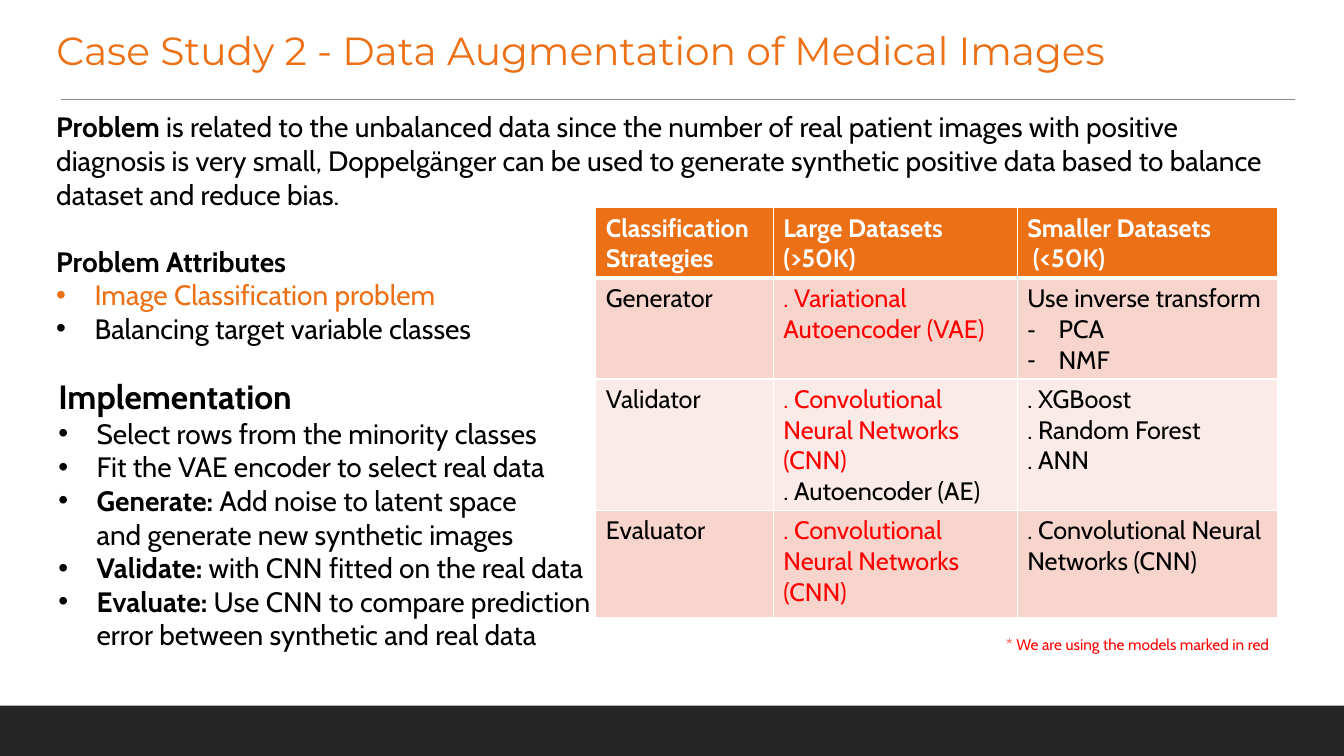
"""Build the case study slide on data augmentation of medical images."""
from lxml.etree import SubElement
from pptx import Presentation
from pptx.dml.color import RGBColor
from pptx.enum.shapes import MSO_CONNECTOR as Connector, MSO_SHAPE as Shape
from pptx.enum.text import MSO_ANCHOR as Anchor, PP_ALIGN as Align
from pptx.oxml import parse_xml
from pptx.oxml.ns import nsdecls, qn
from pptx.util import Inches, Pt

COLORS = {
    "orange": "EC7016", "black": "000000", "white": "FFFFFF", "red": "FF0000",
    "footer": "262626", "rule": "8C8C8C", "band_dark": "F8D5CC", "band_light": "FBEBE8",
}


def line(*spans, bullet=None, indent=0.38, before=0):
    """Describe a paragraph made of (text, colour, bold) spans."""
    return {"spans": spans, "bullet": bullet, "indent": indent, "before": before}


def plain(text, color="black", **options):
    """Describe a paragraph with a single regular span."""
    return line((text, color, False), **options)


def heading(text, color="black", **options):
    """Describe a paragraph with a single bold span."""
    return line((text, color, True), **options)


def item(text, color="black"):
    """Describe a bulleted paragraph."""
    return plain(text, color, bullet="•")


def step(label, text):
    """Describe a bulleted paragraph with a bold label."""
    return line((label, "black", True), (text, "black", False), bullet="•")


class SlideBuilder:
    """Hold the slide and its style, and draw each kind of element."""

    def __init__(self, slide, font="Cabin"):
        """Keep the current slide and the body font."""
        self.shapes = slide.shapes
        self.font = font

    def color(self, name):
        """Return the named colour."""
        return RGBColor.from_string(COLORS[name])

    def set_lines(self, frame, lines, size, font=None, first_size=None):
        """Fill a text frame with described paragraphs."""
        frame.word_wrap = True
        for index, entry in enumerate(lines):
            para = frame.add_paragraph() if index else frame.paragraphs[0]
            para.space_before = Pt(entry["before"])
            for text, color, bold in entry["spans"]:
                for part_index, part in enumerate(text.split("\n")):
                    if part_index:
                        para.add_line_break()
                    span = para.add_run()
                    span.text = part
                    span.font.name = font or self.font
                    span.font.size = Pt(first_size if first_size and not index else size)
                    span.font.bold = bold
                    span.font.color.rgb = self.color(color)
            if entry["bullet"]:
                props = para._p.get_or_add_pPr()
                indent = Inches(entry["indent"])
                props.set("marL", str(indent))
                props.set("indent", str(-indent))
                SubElement(props, qn("a:buFont"), typeface="Arial")
                SubElement(props, qn("a:buChar"), char=entry["bullet"])

    def text(self, place, lines, size, **options):
        """Add a text box."""
        box = self.shapes.add_textbox(*map(Inches, place))
        self.set_lines(box.text_frame, lines, size, **options)

    def rectangle(self, place, fill):
        """Add a filled rectangle without outline."""
        box = self.shapes.add_shape(Shape.RECTANGLE, *map(Inches, place))
        box.shadow.inherit = False
        box.fill.solid()
        box.fill.fore_color.rgb = self.color(fill)
        box.line.fill.background()
        return box

    def note(self, place, text, size):
        """Add a white box with a centred red remark."""
        box = self.rectangle(place, "white")
        box.line.color.rgb = self.color("white")
        box.line.width = Pt(1.25)
        self.set_lines(box.text_frame, [plain(text, "red")], size)
        box.text_frame.vertical_anchor = Anchor.MIDDLE
        box.text_frame.paragraphs[0].alignment = Align.CENTER

    def rule(self, left, right, top):
        """Add a horizontal line."""
        rule = self.shapes.add_connector(
            Connector.STRAIGHT, Inches(left), Inches(top), Inches(right), Inches(top))
        rule.line.color.rgb = self.color("rule")
        rule.line.width = Pt(0.75)
        SubElement(rule._element.spPr, qn("a:effectLst"))

    def borders(self, cell, bottom):
        """Give a cell white borders."""
        props = cell._tc.get_or_add_tcPr()
        widths = {"lnL": 1, "lnR": 1, "lnT": 1, "lnB": bottom}
        for index, (side, width) in enumerate(widths.items()):
            props.insert(index, parse_xml(
                f'<a:{side} {nsdecls("a")} w="{Pt(width)}"><a:solidFill>'
                f'<a:srgbClr val="{COLORS["white"]}"/></a:solidFill></a:{side}>'))

    def table(self, left, top, widths, heights, rows, size):
        """Add a banded table with a strong header."""
        table = self.shapes.add_table(
            len(heights), len(widths), Inches(left), Inches(top),
            Inches(sum(widths)), Inches(sum(heights))).table
        for column, width in zip(table.columns, widths):
            column.width = Inches(width)
        for index, (row, height, contents) in enumerate(zip(table.rows, heights, rows)):
            row.height = Inches(height)
            fill = "band_dark" if index % 2 else "band_light"
            for cell, lines in zip(row.cells, contents):
                cell.fill.solid()
                cell.fill.fore_color.rgb = self.color(fill if index else "orange")
                self.borders(cell, 1 if index else 3)
                self.set_lines(cell.text_frame, lines, size)


PROBLEM = [
    line(("Problem ", "black", True),
         ("is related to the unbalanced data since the number of real patient images with "
          "positive diagnosis is very small, Doppelgänger can be used to generate synthetic "
          "positive data based to balance dataset and reduce bias.", "black", False)),
    heading("Problem Attributes", before=24),
    item("Image Classification problem", "orange"),
    item("Balancing target variable classes"),
]
IMPLEMENTATION = [
    heading("Implementation"),
    item("Select rows from the minority classes"),
    item("Fit the VAE encoder to select real data"),
    step("Generate:", " Add noise to latent space \nand generate new synthetic images"),
    step("Validate: ", "with CNN fitted on the real data"),
    step("Evaluate: ", "Use CNN to compare prediction \nerror between synthetic and real data"),
]
CNN = ". Convolutional Neural Networks (CNN)"
STRATEGIES = [
    [[heading(text, "white") for text in texts] for texts in (
        ["Classification", "Strategies"],
        ["Large Datasets (>50K)"],
        ["Smaller Datasets", " (<50K)"])],
    [[plain("Generator")],
     [plain(". Variational Autoencoder (VAE)", "red")],
     [plain("Use inverse transform"),
      *(plain(method, bullet="-", indent=0.31) for method in ("PCA", "NMF"))]],
    [[plain("Validator")],
     [plain(CNN, "red"), plain(". Autoencoder (AE)")],
     [plain(text) for text in (". XGBoost", ". Random Forest", ". ANN")]],
    [[plain("Evaluator")], [plain(CNN, "red")], [plain(CNN)]],
]


def main():
    """Draw the slide and save the deck."""
    deck = Presentation()
    deck.slide_width, deck.slide_height = Inches(13.33), Inches(7.5)
    page = SlideBuilder(deck.slides.add_slide(deck.slide_layouts[6]))
    page.rectangle((0, 7, 13.33, 0.5), "footer")
    page.text((0.46, 1.04, 12.2, 2.46), PROBLEM, 20)
    page.text((0.46, 0.21, 12.32, 0.57),
              [plain("Case Study 2 - Data Augmentation of Medical Images", "orange")],
              28, font="Montserrat")
    page.rule(0.61, 12.84, 0.99)
    page.table(5.91, 2.06, (1.76, 2.42, 2.58), (0.69, 1, 1.3, 1.07), STRATEGIES, 18)
    page.note((9.84, 6.19, 2.89, 0.4), "* We are using the models marked in red", 11)
    page.text((0.48, 3.68, 6.11, 2.86), IMPLEMENTATION, 20, first_size=24)
    deck.save("out.pptx")


if __name__ == "__main__":
    main()
